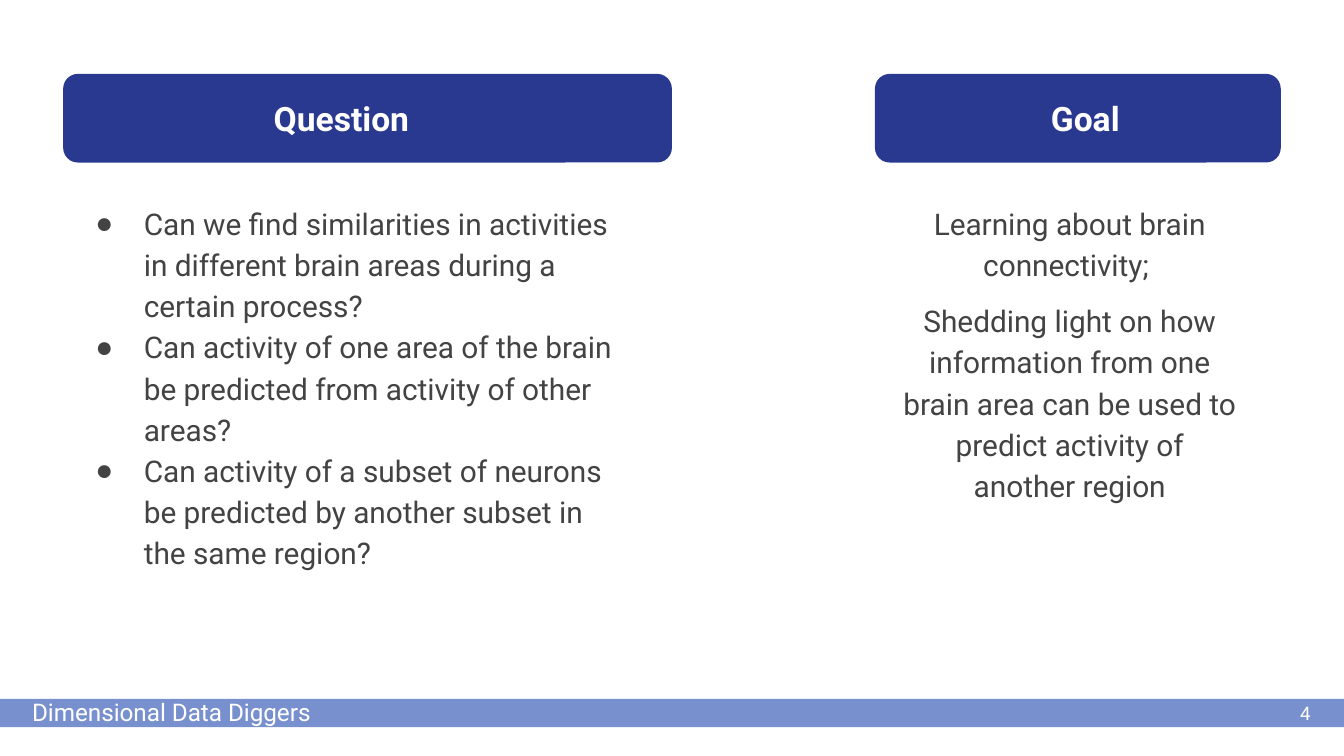
from lxml import etree
from pptx import Presentation
from pptx.dml import color as dye
from pptx.enum import shapes, text
from pptx.oxml import ns
from pptx.util import Inches, Pt

HUES = {"navy": "2A3990", "band": "7890CD", "ink": "434343", "white": "FFFFFF"}
ALIGN = text.PP_ALIGN
ANCHOR = text.MSO_ANCHOR


def paint(color, hue):
    color.rgb = dye.RGBColor.from_string(HUES[hue])


def mark(para, bullet, hue):
    """Set the bullet of a paragraph, or none, with its hanging indent."""
    props = para._p.get_or_add_pPr()
    props.set("marL", str(Inches(0.5) if bullet else 0))
    props.set("indent", str(Inches(-0.36) if bullet else 0))
    if not bullet:
        etree.SubElement(props, ns.qn("a:buNone"))
        return
    tint = etree.SubElement(props, ns.qn("a:buClr"))
    etree.SubElement(tint, ns.qn("a:srgbClr"), val=HUES[hue])
    etree.SubElement(props, ns.qn("a:buFont"), typeface="Arial")
    etree.SubElement(props, ns.qn("a:buChar"), char=bullet)


def write(shape, lines, size=16, hue="ink", bold=False, align=ALIGN.LEFT,
          anchor=ANCHOR.TOP, pitch=1.0, gap=0, bullet=None):
    """Fill a shape with paragraphs; gap is the space around all but the first."""
    frame = shape.text_frame
    frame.word_wrap = True
    frame.auto_size = text.MSO_AUTO_SIZE.NONE
    frame.vertical_anchor = anchor
    frame.margin_left = frame.margin_right = Inches(0.1)
    frame.margin_top = frame.margin_bottom = Inches(0.1)
    for i, line in enumerate(lines):
        para = frame.add_paragraph() if i else frame.paragraphs[0]
        para.alignment = align
        para.line_spacing = pitch
        para.space_before = para.space_after = Pt(gap if i else 0)
        mark(para, bullet, hue)
        run = para.add_run()
        run.text = line
        run.font.name = "Roboto"
        run.font.size = Pt(size)
        run.font.bold = bold
        paint(run.font.color, hue)


class Deck:
    """Holds the style and the current slide."""

    def __init__(self, wide, high):
        self.show = Presentation()
        self.show.slide_width = Inches(wide)
        self.show.slide_height = Inches(high)
        layout = self.show.slide_layouts.get_by_name("Comparison")
        self.slide = self.show.slides.add_slide(layout)
        title = self.slide.shapes.title
        title.element.getparent().remove(title.element)

    def block(self, kind, box, hue):
        shape = self.slide.shapes.add_shape(kind, *map(Inches, box))
        shape.shadow.inherit = False
        shape.fill.solid()
        paint(shape.fill.fore_color, hue)
        shape.line.fill.background()

    def label(self, line, box, **style):
        write(self.slide.shapes.add_textbox(*map(Inches, box)), [line],
              hue="white", **style)

    def body(self, slot, lines, box, **style):
        """Move a body placeholder to the front and fill it."""
        shape = self.slide.placeholders[slot]
        shape.left, shape.top, shape.width, shape.height = map(Inches, box)
        self.slide.shapes._spTree.append(shape.element)
        write(shape, lines, **style)

    def column(self, slot, head, lines, bar, cap, area, high, **style):
        """Each of bar, cap and area is a left edge and a width."""
        self.block(shapes.MSO_SHAPE.ROUNDED_RECTANGLE,
                   (bar[0], 0.55, bar[1], 0.66), "navy")
        self.body(slot, [head], (cap[0], 0.71, cap[1], 0.34), size=18,
                  hue="white", bold=True, align=ALIGN.CENTER,
                  anchor=ANCHOR.MIDDLE)
        self.body(slot + 1, lines, (area[0], 1.39, area[1], high),
                  pitch=1.15, **style)


def main():
    deck = Deck(10, 10 * 9 / 16)
    deck.block(shapes.MSO_SHAPE.RECTANGLE, (0, 5.2, 10, 0.21), "band")
    deck.label("Dimensional Data Diggers", (0.14, 5.09, 2.55, 0.19), size=13)
    deck.column(1, "Question", [
        "Can we find similarities in activities in different brain areas "
        "during a certain process?",
        "Can activity of one area of the brain be predicted from activity "
        "of other areas?",
        "Can activity of a subset of neurons be predicted by another subset "
        "in the same region?",
    ], bar=(0.47, 4.53), cap=(0.47, 4.14), area=(0.47, 4.21), high=3.42,
        bullet="●")
    deck.column(3, "Goal", [
        "Learning about brain connectivity; ",
        "Shedding light on how information from one brain area can be used "
        "to predict activity of another region",
    ], bar=(6.51, 3.02), cap=(6.84, 2.47), area=(6.61, 2.7), high=2.9,
        align=ALIGN.CENTER, gap=8)
    deck.label("4", (9.25, 5.09, 0.6, 0.43), size=10, align=ALIGN.RIGHT,
               anchor=ANCHOR.MIDDLE)
    deck.show.save("out.pptx")


if __name__ == "__main__":
    main()
